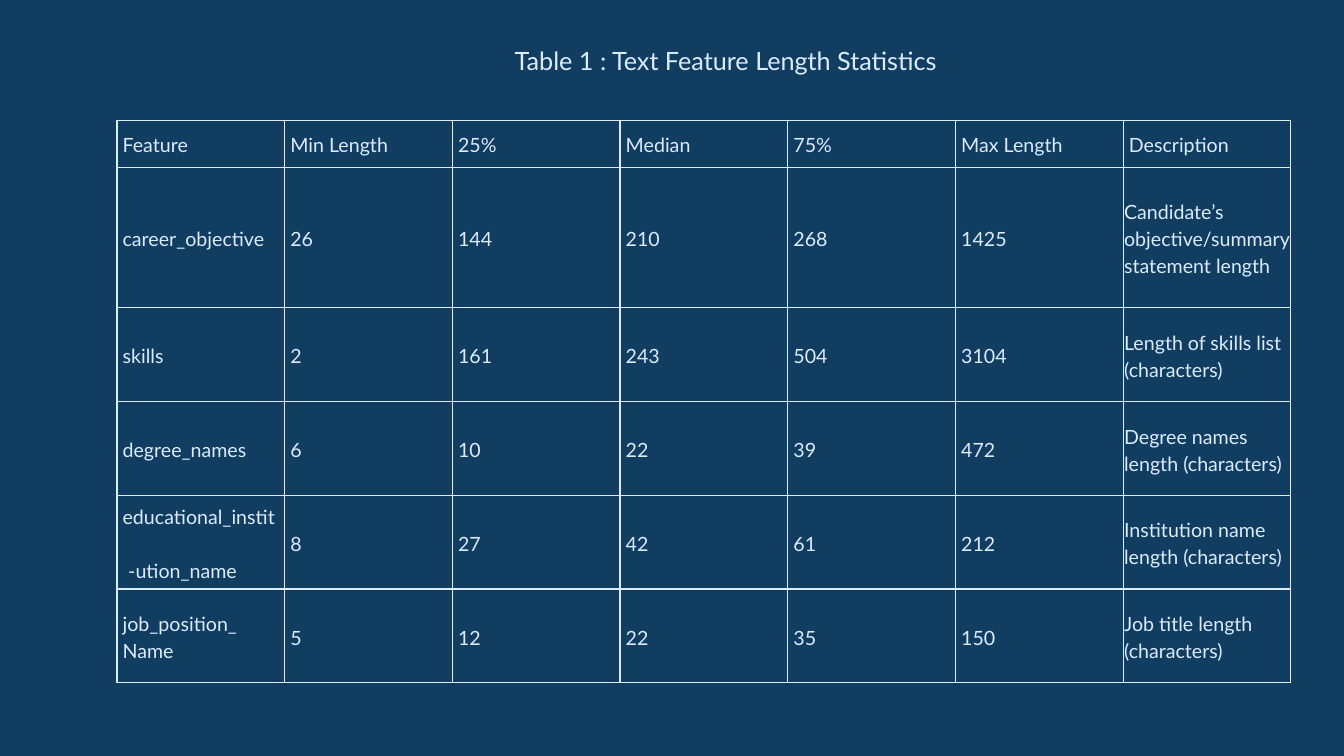
"""Build a slide with a table of text feature length statistics."""
from lxml import etree
from pptx import Presentation
from pptx.dml.color import RGBColor
from pptx.enum.text import MSO_ANCHOR, MSO_AUTO_SIZE, PP_ALIGN
from pptx.oxml.ns import qn
from pptx.util import Pt

MIDDLE = MSO_ANCHOR.MIDDLE
CENTER = PP_ALIGN.CENTER
FIT_SHAPE = MSO_AUTO_SIZE.SHAPE_TO_FIT_TEXT

FONT = "Lato"
NAVY = "113D61"
PALE_BLUE = "DCEBFF"
TITLE_SIZE = 18
CELL_SIZE = 14
LINE_SPACING = 1.15
CELL_MARGIN = 0.7
TEXT_INDENT = 3.4
COLUMN_WIDTH = 119.8
ROW_HEIGHTS = [33.5, 100.4] + [67] * 4

FEATURE_STATISTICS = [
    ["Feature", "Min Length", "25%", "Median", "75%", "Max Length", "Description"],
    ["career_objective", "26", "144", "210", "268", "1425",
     "Candidate’s objective/summary statement length"],
    ["skills", "2", "161", "243", "504", "3104",
     "Length of skills list (characters)"],
    ["degree_names", "6", "10", "22", "39", "472",
     "Degree names length (characters)"],
    ["educational_instit\n-ution_name", "8", "27", "42", "61", "212",
     "Institution name length (characters)"],
    ["job_position_\nName", "5", "12", "22", "35", "150",
     "Job title length (characters)"],
]


def color(hex_value):
    """Return the colour for a hex string."""
    return RGBColor.from_string(hex_value)


def set_font(paragraph, size):
    """Give a paragraph the slide's font and text colour."""
    paragraph.font.name = FONT
    paragraph.font.size = Pt(size)
    paragraph.font.color.rgb = color(PALE_BLUE)


def add_title(slide, text):
    """Place the table's title in the title placeholder."""
    title = slide.shapes.title
    title.left, title.top, title.width, title.height = Pt(360), Pt(28.8), Pt(316.8), Pt(29)
    frame = title.text_frame
    frame.text = text
    frame.word_wrap = False
    frame.auto_size = FIT_SHAPE
    frame.vertical_anchor = MIDDLE
    heading = frame.paragraphs[0]
    heading.alignment = CENTER
    heading.line_spacing = 1.0
    set_font(heading, TITLE_SIZE)


def set_borders(cell):
    """Draw a thin line on all four sides of a cell."""
    properties = cell._tc.get_or_add_tcPr()
    for side in ("a:lnL", "a:lnR", "a:lnT", "a:lnB"):
        border = etree.SubElement(properties, qn(side), w=str(Pt(1)))
        line_fill = etree.SubElement(border, qn("a:solidFill"))
        etree.SubElement(line_fill, qn("a:srgbClr"), val=PALE_BLUE)


def fill_cell(cell, text, indent):
    """Write and format one table cell."""
    set_borders(cell)
    cell.fill.background()
    cell.vertical_anchor = MIDDLE
    cell.margin_left = Pt(CELL_MARGIN + indent)
    cell.margin_right = cell.margin_top = cell.margin_bottom = Pt(CELL_MARGIN)
    cell.text = text
    for paragraph in cell.text_frame.paragraphs:
        paragraph.line_spacing = LINE_SPACING
        set_font(paragraph, CELL_SIZE)


def add_statistics_table(slide, rows):
    """Add the statistics table and return it."""
    column_count = len(rows[0])
    table = slide.shapes.add_table(
        len(rows), column_count, Pt(83.5), Pt(85.9),
        Pt(COLUMN_WIDTH * column_count), Pt(sum(ROW_HEIGHTS))).table
    table.first_row = table.horz_banding = False
    for column in table.columns:
        column.width = Pt(COLUMN_WIDTH)
    for row_index, (values, height) in enumerate(zip(rows, ROW_HEIGHTS)):
        table.rows[row_index].height = Pt(height)
        for column_index, value in enumerate(values):
            is_description = row_index > 0 and column_index == column_count - 1
            fill_cell(table.cell(row_index, column_index), value,
                      0 if is_description else TEXT_INDENT)
    return table


def offset_continuation(cell, gap, indent):
    """Set a cell's second paragraph apart from its first."""
    continuation = cell.text_frame.paragraphs[1]
    continuation.space_before = Pt(gap)
    continuation._p.get_or_add_pPr().set("marL", str(Pt(indent)))


def main():
    """Build and save the presentation."""
    presentation = Presentation()
    presentation.slide_width, presentation.slide_height = Pt(960), Pt(540)
    slide = presentation.slides.add_slide(presentation.slide_layouts[5])
    background = slide.background.fill
    background.solid()
    background.fore_color.rgb = color(NAVY)
    add_title(slide, "Table 1 : Text Feature Length Statistics")
    table = add_statistics_table(slide, FEATURE_STATISTICS)
    offset_continuation(table.cell(4, 0), gap=19.3, indent=4)
    presentation.save("out.pptx")


if __name__ == "__main__":
    main()
